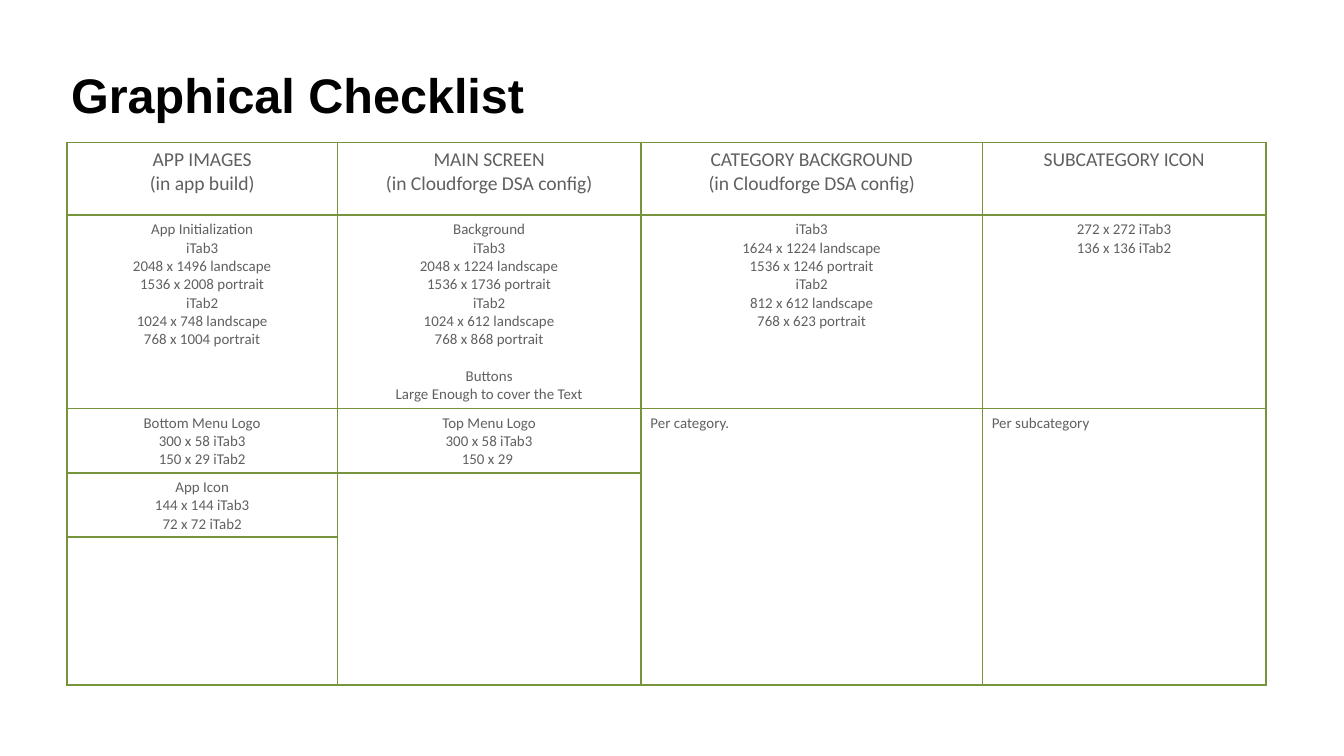
from dataclasses import dataclass
from itertools import product

from lxml.etree import SubElement as Sub
from pptx import Presentation
from pptx.dml.color import RGBColor as Rgb
from pptx.enum.text import MSO_ANCHOR as Anchor, PP_ALIGN as Align
from pptx.oxml.ns import qn
from pptx.util import Inches, Pt

WIDE = 10
HIGH = WIDE * 9 / 16
HUES = {"title": "000000", "text": "606060", "line": "77933C", "fill": "FFFFFF"}
COLS = [2.01, 2.26, 2.54, 2.11]
ROWS = [0.54, 1.44, 0.47, 0.47, 1.1]
SIDES = ("a:lnL", "a:lnR", "a:lnT", "a:lnB")


@dataclass
class Entry:
    row: int
    col: int
    text: str
    size: float = 8
    align: Align = Align.CENTER
    span: int = 1
    gap: int = -1


ENTRIES = [
    Entry(0, 0, "APP IMAGES\n(in app build)", 10.5),
    Entry(0, 1, "MAIN SCREEN\n(in Cloudforge DSA config)", 10.5),
    Entry(0, 2, "CATEGORY BACKGROUND\n(in Cloudforge DSA config)", 10.5),
    Entry(0, 3, "SUBCATEGORY ICON", 10.5),
    Entry(1, 0, "App Initialization\niTab3\n2048 x 1496 landscape\n1536 x 2008 portrait\n"
          "iTab2\n1024 x 748 landscape\n768 x 1004 portrait"),
    Entry(1, 1, "Background\niTab3\n2048 x 1224 landscape\n1536 x 1736 portrait\n"
          "iTab2\n1024 x 612 landscape\n768 x 868 portrait\n"
          "Buttons\vLarge Enough to cover the Text", gap=7),
    Entry(1, 2, "iTab3\n1624 x 1224 landscape\n1536 x 1246 portrait\n"
          "iTab2\n812 x 612 landscape\n768 x 623 portrait"),
    Entry(1, 3, "272 x 272 iTab3\n136 x 136 iTab2"),
    Entry(2, 0, "Bottom Menu Logo\n300 x 58 iTab3\n150 x 29 iTab2"),
    Entry(2, 1, "Top Menu Logo\n300 x 58 iTab3\n150 x 29 "),
    Entry(2, 2, "Per category.", align=Align.LEFT, span=3),
    Entry(2, 3, "Per subcategory", align=Align.LEFT, span=3),
    Entry(3, 0, "App Icon\n144 x 144 iTab3\n72 x 72 iTab2"),
    Entry(3, 1, "", span=2),
]


def write(frame, text: str, *, size: float, font: str = "Calibri", hue: str = "text",
          bold: bool = False, align: Align = Align.LEFT, gap: int = -1) -> None:
    frame.text = text
    for spot, para in enumerate(frame.paragraphs):
        para.alignment = align
        if spot == gap:
            para.space_before = Pt(size * 1.22)
        para.font.size = Pt(size)
        for run in para.runs:
            run.font.name, run.font.size, run.font.bold = font, Pt(size), bold
            run.font.color.rgb = Rgb.from_string(HUES[hue])


def style(cell) -> None:
    props = cell._tc.get_or_add_tcPr()
    for side in SIDES:
        line = Sub(props, qn(side), w=str(Pt(1)))
        Sub(Sub(line, qn("a:solidFill")), qn("a:srgbClr"), val=HUES["line"])
    cell.fill.solid()
    cell.fill.fore_color.rgb = Rgb.from_string(HUES["fill"])
    cell.margin_left = cell.margin_right = Inches(0.07)
    cell.margin_top = cell.margin_bottom = Inches(0.04)


def head(slide) -> None:
    box = slide.shapes.add_textbox(
        Inches(WIDE * 0.05), Inches(0.23), Inches(WIDE * 0.9), Inches(0.94))
    frame = box.text_frame
    frame.word_wrap = True
    frame.vertical_anchor = Anchor.MIDDLE
    frame.margin_left, frame.margin_right = Inches(0.03), Inches(0.05)
    frame.margin_top = frame.margin_bottom = Inches(0.02)
    write(frame, "Graphical Checklist", size=26, font="Arial", hue="title", bold=True)


def check(slide) -> None:
    table = slide.shapes.add_table(
        len(ROWS), len(COLS), Inches(WIDE * 0.05), Inches(1.06),
        Inches(sum(COLS)), Inches(sum(ROWS))).table
    table.first_row = table.horz_banding = False
    for col, width in zip(table.columns, COLS):
        col.width = Inches(width)
    for row, height in zip(table.rows, ROWS):
        row.height = Inches(height)
    for row, col in product(range(len(ROWS)), range(len(COLS))):
        style(table.cell(row, col))
    for item in ENTRIES:
        cell = table.cell(item.row, item.col)
        if item.span > 1:
            cell.merge(table.cell(item.row + item.span - 1, item.col))
        write(cell.text_frame, item.text, size=item.size, align=item.align, gap=item.gap)


deck = Presentation()
deck.slide_width, deck.slide_height = Inches(WIDE), Inches(HIGH)
page = deck.slides.add_slide(deck.slide_layouts[6])
head(page)
check(page)
deck.save("out.pptx")
